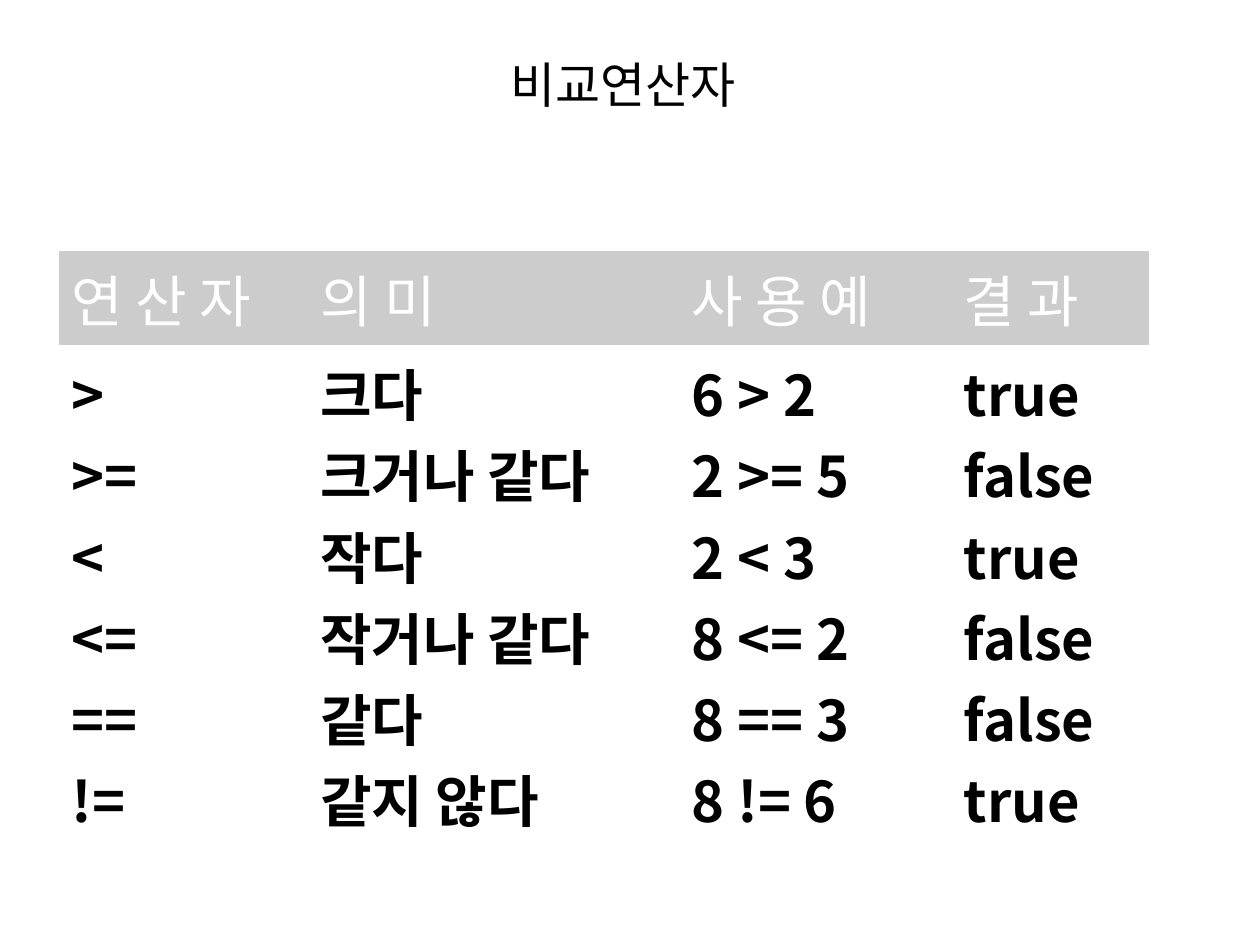
from lxml import etree
from pptx import Presentation
from pptx.dml.color import RGBColor
from pptx.enum.text import MSO_ANCHOR, PP_ALIGN
from pptx.oxml.ns import qn
from pptx.util import Inches, Pt

MIDDLE = MSO_ANCHOR.MIDDLE
CENTER, JUSTIFY = PP_ALIGN.CENTER, PP_ALIGN.JUSTIFY

FONT = "Noto Sans CJK KR"
COLORS = {"text": "000000", "header_text": "FFFFFF", "header_fill": "CCCCCC"}

TITLE = "비교연산자"
HEADERS = ["연 산 자", "의 미", "사 용 예", "결 과"]
OPERATORS = [
    (">", "크다", "6 > 2", "true"),
    (">=", "크거나 같다", "2 >= 5", "false"),
    ("<", "작다", "2 < 3", "true"),
    ("<=", "작거나 같다", "8 <= 2", "false"),
    ("==", "같다", "8 == 3", "false"),
    ("!=", "같지 않다", "8 != 6", "true"),
]

SLIDE_W, SLIDE_H = 10, 7.5
TITLE_H = SLIDE_H / 6
TABLE_LEFT, TABLE_TOP = 0.47, 1.99
COL_WIDTHS = [1.97, 2.95, 2.16, 1.57]
ROW_HEIGHTS = [0.75, 3.97]


def style(p, size, color, align, bold=False):
    p.alignment = align
    font = p.font
    font.size, font.bold, font.name = Pt(size), bold, FONT
    font.color.rgb = RGBColor.from_string(COLORS[color])
    # East Asian letters take their own typeface
    r_pr = p._p.pPr.find(qn("a:defRPr"))
    etree.SubElement(r_pr, qn("a:ea"), typeface=FONT)


def fill_cell(cell, lines, color, bold, fill=None):
    """Write one paragraph per line into a borderless cell."""
    cell.vertical_anchor = MIDDLE
    tc_pr = cell._tc.get_or_add_tcPr()
    for side in ("lnL", "lnR", "lnT", "lnB"):
        ln = etree.SubElement(tc_pr, qn(f"a:{side}"), w="0")
        etree.SubElement(ln, qn("a:noFill"))
    if fill:
        cell.fill.solid()
        cell.fill.fore_color.rgb = RGBColor.from_string(COLORS[fill])
    else:
        cell.fill.background()
    tf = cell.text_frame
    tf.text = "\n".join(lines)
    for p in tf.paragraphs:
        style(p, 32, color, JUSTIFY, bold)


def add_title(slide):
    box = slide.shapes.add_textbox(0, 0, Inches(SLIDE_W), Inches(TITLE_H))
    tf = box.text_frame
    tf.word_wrap = True
    tf.vertical_anchor = MIDDLE
    p = tf.paragraphs[0]
    p.add_run().text = TITLE
    space = p.add_run()
    space.text = " "
    space.font.size = Pt(36)
    style(p, 28, "text", CENTER)


def add_operator_table(slide):
    frame = slide.shapes.add_table(
        len(ROW_HEIGHTS), len(COL_WIDTHS), Inches(TABLE_LEFT), Inches(TABLE_TOP),
        Inches(sum(COL_WIDTHS)), Inches(sum(ROW_HEIGHTS)))
    table = frame.table
    table.first_row = table.horz_banding = False
    for row, height in zip(table.rows, ROW_HEIGHTS):
        row.height = Inches(height)
    columns = zip(COL_WIDTHS, HEADERS, zip(*OPERATORS))
    for c, (width, header, values) in enumerate(columns):
        table.columns[c].width = Inches(width)
        fill_cell(table.cell(0, c), [header], "header_text", False, "header_fill")
        fill_cell(table.cell(1, c), values, "text", True)


def main():
    prs = Presentation()
    prs.slide_width, prs.slide_height = Inches(SLIDE_W), Inches(SLIDE_H)
    slide = prs.slides.add_slide(prs.slide_layouts[6])
    add_title(slide)
    add_operator_table(slide)
    prs.save("out.pptx")


if __name__ == "__main__":
    main()
